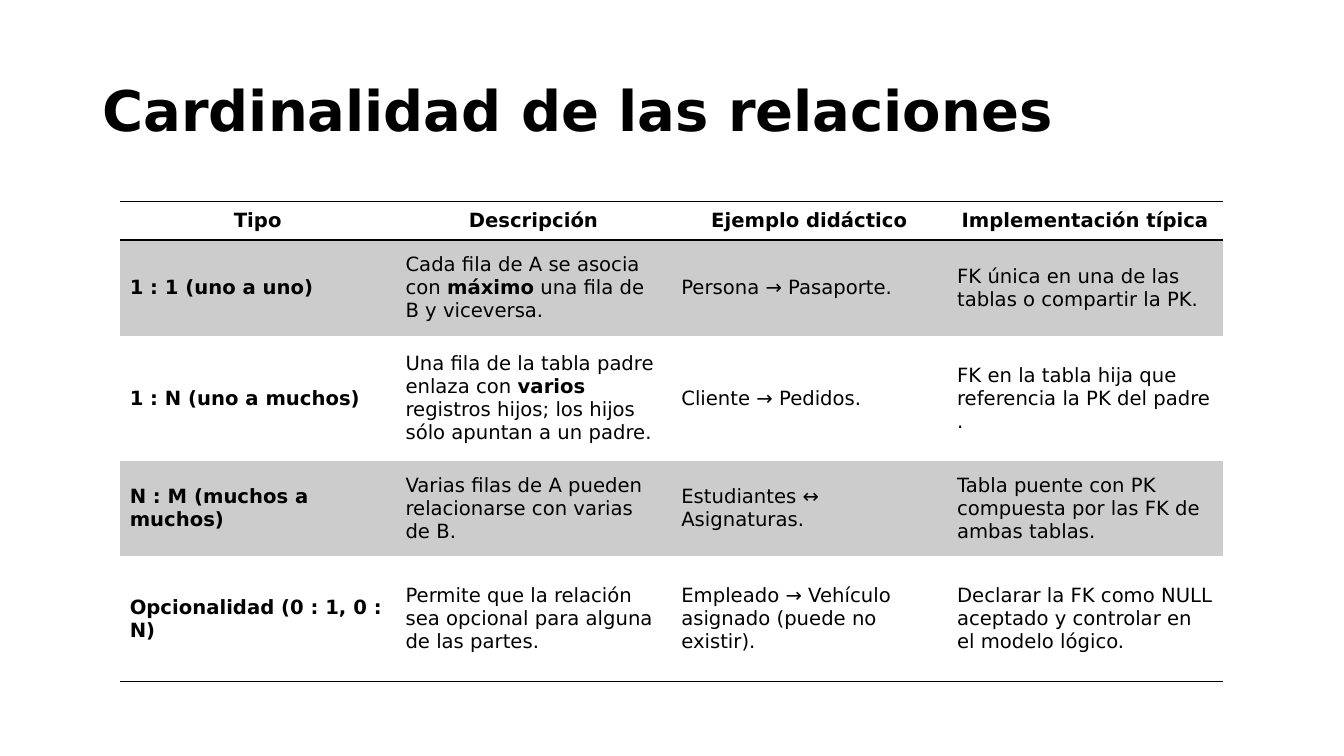
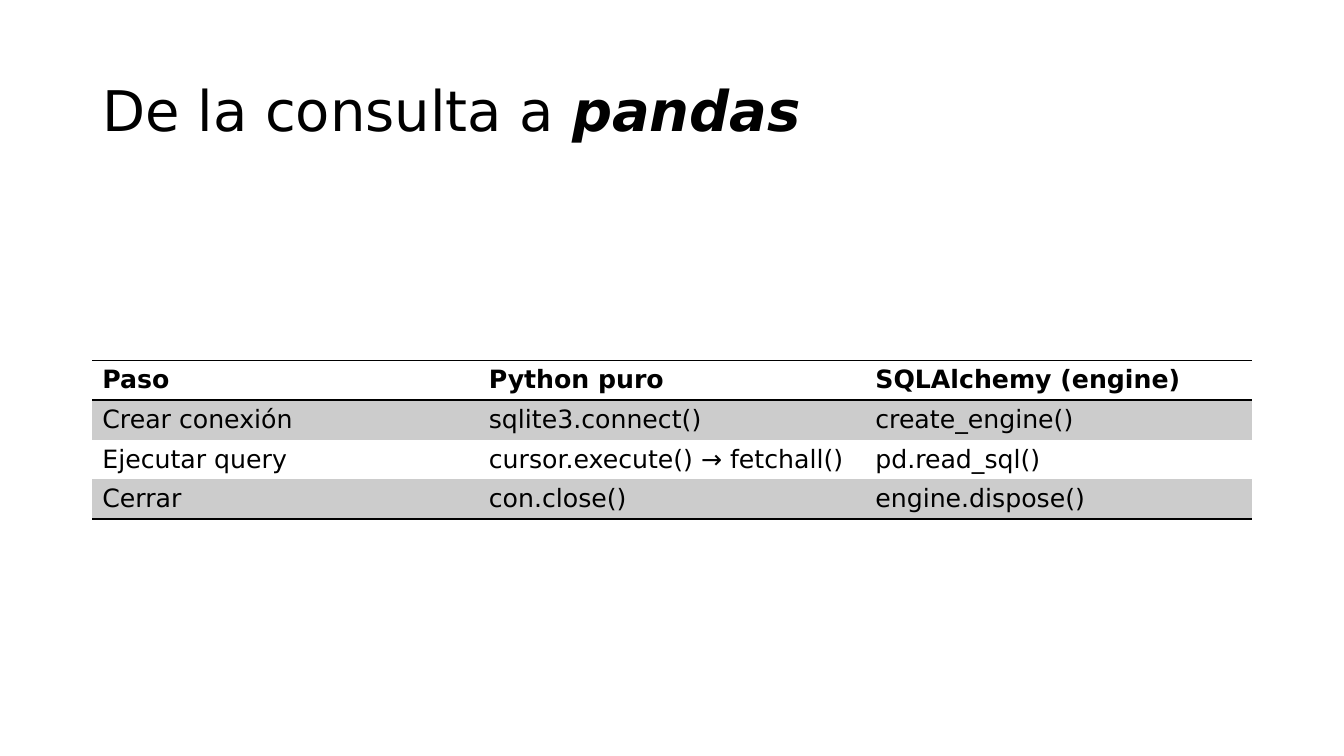
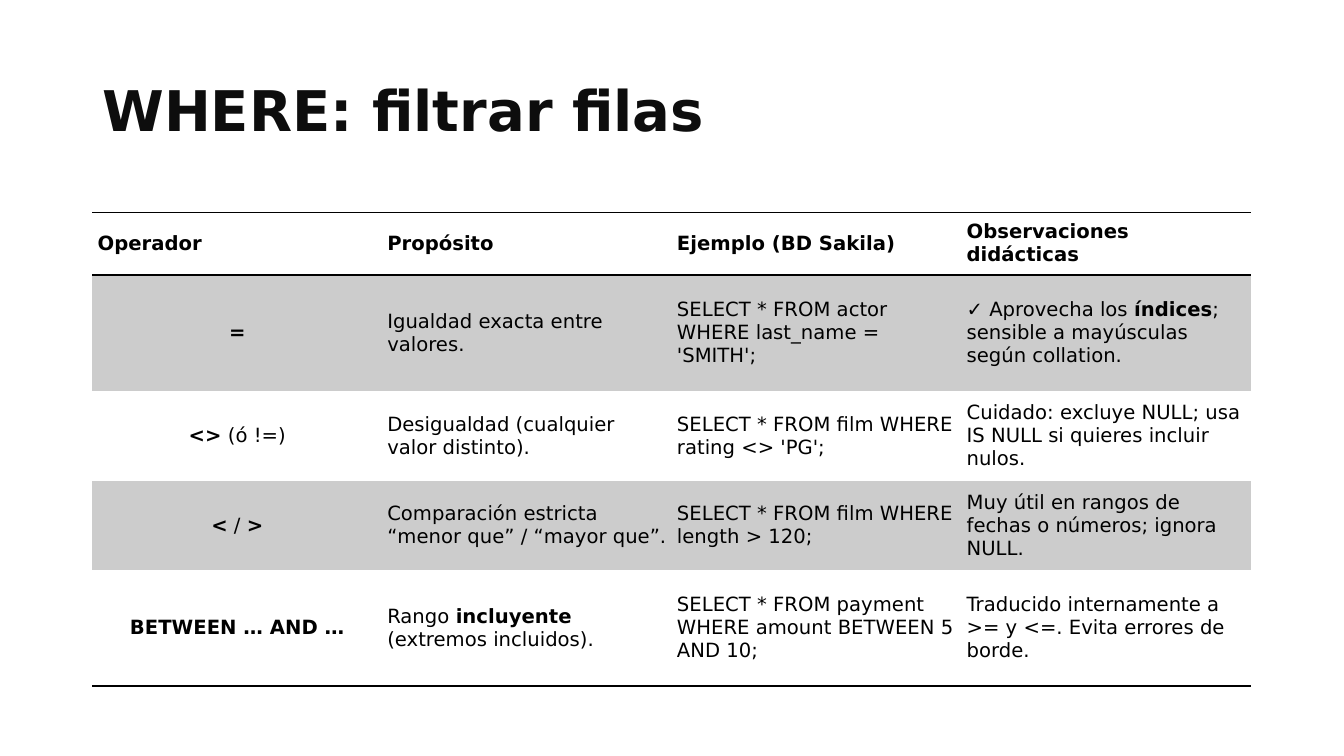
import pptx
import pptx.util
import pptx.dml.color
import pptx.enum.text
import pptx.oxml

Cm, Pt = pptx.util.Cm, pptx.util.Pt
RGB = pptx.dml.color.RGBColor.from_string
ALIGN = pptx.enum.text.PP_ALIGN
MIDDLE = pptx.enum.text.MSO_ANCHOR.MIDDLE

FONT = "DejaVu Sans"
COLORS = {"text": "000000", "soft": "0D0D0D", "line": "000000", "band": "CCCCCC"}
PLAIN_STYLE = "{2D5ABB26-0587-4C30-8999-92F81FD0307C}"
NORMAL, TIGHT = (0.25, 0.13), (0.13, 0.07)

SLIDES = [
    {
        "title": "**Cardinalidad de las relaciones**",
        "at": (3.02, 5.08), "width": 27.79, "size": 14, "insets": NORMAL,
        "heights": [0.97, 2.41, 3.15, 2.41, 3.15],
        "centered": "header",
        "rows": [
            ["Tipo", "Descripción", "Ejemplo didáctico", "Implementación típica"],
            ["**1 : 1 (uno a uno)**",
             "Cada fila de A se asocia con **máximo** una fila de B y viceversa.",
             "Persona → Pasaporte.",
             "FK única en una de las tablas o compartir la PK."],
            ["**1 : N (uno a muchos)**",
             "Una fila de la tabla padre enlaza con **varios** registros hijos; "
             "los hijos sólo apuntan a un padre.",
             "Cliente → Pedidos.",
             "FK en la tabla hija que referencia la PK del padre ."],
            ["**N : M (muchos a muchos)**",
             "Varias filas de A pueden relacionarse con varias de B.",
             "Estudiantes ↔ Asignaturas.",
             "Tabla puente con PK compuesta por las FK de ambas tablas."],
            ["**Opcionalidad (0 : 1, 0 : N)**",
             "Permite que la relación sea opcional para alguna de las partes.",
             "Empleado → Vehículo asignado (puede no existir).",
             "Declarar la FK como NULL aceptado y controlar en el modelo lógico."],
        ],
    },
    {
        "title": "De la consulta a **pandas**", "italic": True,
        "at": (2.33, 9.08), "width": 29.21, "size": 18, "insets": NORMAL,
        "heights": [1, 1, 1, 1],
        "rows": [
            ["Paso", "Python puro", "SQLAlchemy (engine)"],
            ["Crear conexión", "sqlite3.connect()", "create_engine()"],
            ["Ejecutar query", "cursor.execute() → fetchall()", "pd.read_sql()"],
            ["Cerrar", "con.close()", "engine.dispose()"],
        ],
    },
    {
        "title": "**WHERE: filtrar filas**", "color": "soft",
        "at": (2.33, 5.35), "width": 29.21, "size": 14, "insets": TIGHT,
        "heights": [1.58, 2.92, 2.26, 2.26, 2.92],
        "centered": "operators",
        "rows": [
            ["Operador", "Propósito", "Ejemplo (BD Sakila)", "Observaciones didácticas"],
            ["**=**", "Igualdad exacta entre valores.",
             "SELECT * FROM actor WHERE last_name = 'SMITH';",
             "✓ Aprovecha los **índices**; sensible a mayúsculas según collation."],
            ["**<>** (ó !=)", "Desigualdad (cualquier valor distinto).",
             "SELECT * FROM film WHERE rating <> 'PG';",
             "Cuidado: excluye NULL; usa IS NULL si quieres incluir nulos."],
            ["**<** / **>**", "Comparación estricta “menor que” / “mayor que”.",
             "SELECT * FROM film WHERE length > 120;",
             "Muy útil en rangos de fechas o números; ignora NULL."],
            ["**BETWEEN … AND …**", "Rango **incluyente** (extremos incluidos).",
             "SELECT * FROM payment WHERE amount BETWEEN 5 AND 10;",
             "Traducido internamente a >= y <=. Evita errores de borde."],
        ],
    },
]


def write(p, text, size, color="text", align=ALIGN.LEFT, bold=False, italic=False):
    p.alignment = align
    p.font.name, p.font.size, p.font.bold = FONT, Pt(size), bold
    p.font.color.rgb = RGB(COLORS[color])
    for i, part in enumerate(text.split("**")):
        if part:
            r = p.add_run()
            r.text = part
            if i % 2:
                r.font.bold = True
                if italic:
                    r.font.italic = True


def add_border(cell, side):
    cell._tc.get_or_add_tcPr().append(pptx.oxml.parse_xml(
        f'<a:ln{side} xmlns:a="http://schemas.openxmlformats.org/drawingml/2006/main" '
        f'w="{Pt(1)}"><a:solidFill><a:srgbClr val="{COLORS["line"]}"/></a:solidFill>'
        f'</a:ln{side}>'))


def add_title(s, data):
    sp = s.shapes.title
    sp.left, sp.top, sp.width, sp.height = Cm(2.33), Cm(1.01), Cm(29.21), Cm(3.68)
    tf = sp.text_frame
    tf.vertical_anchor = MIDDLE
    tf.auto_size = pptx.enum.text.MSO_AUTO_SIZE.NONE
    p = tf.paragraphs[0]
    p.line_spacing = 0.9
    write(p, data["title"], 40, data.get("color", "text"), italic=data.get("italic", False))


def add_table(s, data):
    rows, heights = data["rows"], data["heights"]
    n_cols = len(rows[0])
    x, y = data["at"]
    table = s.shapes.add_table(len(rows), n_cols, Cm(x), Cm(y),
                               Cm(data["width"]), Cm(sum(heights))).table
    table._tbl.tblPr[0].text = PLAIN_STYLE
    table.horz_banding = False
    for col in table.columns:
        col.width = Cm(round(data["width"] / n_cols, 2))
    for i, (texts, height) in enumerate(zip(rows, heights)):
        table.rows[i].height = Cm(height)
        for j, text in enumerate(texts):
            cell = table.cell(i, j)
            cell.vertical_anchor = MIDDLE
            dx, dy = data["insets"]
            cell.margin_left = cell.margin_right = Cm(dx)
            cell.margin_top = cell.margin_bottom = Cm(dy)
            if i == 0:
                add_border(cell, "T")
            if i in (0, len(rows) - 1):
                add_border(cell, "B")
            if i % 2:
                cell.fill.solid()
                cell.fill.fore_color.rgb = RGB(COLORS["band"])
            else:
                cell.fill.background()
            kind = "header" if i == 0 else "operators" if j == 0 else "body"
            align = ALIGN.CENTER if data.get("centered") == kind else ALIGN.LEFT
            write(cell.text_frame.paragraphs[0], text, data["size"],
                  align=align, bold=i == 0)


def main():
    prs = pptx.Presentation()
    prs.slide_width, prs.slide_height = Cm(33.87), Cm(19.05)
    for data in SLIDES:
        s = prs.slides.add_slide(prs.slide_layouts[5])
        add_title(s, data)
        add_table(s, data)
    prs.save("out.pptx")


if __name__ == "__main__":
    main()
